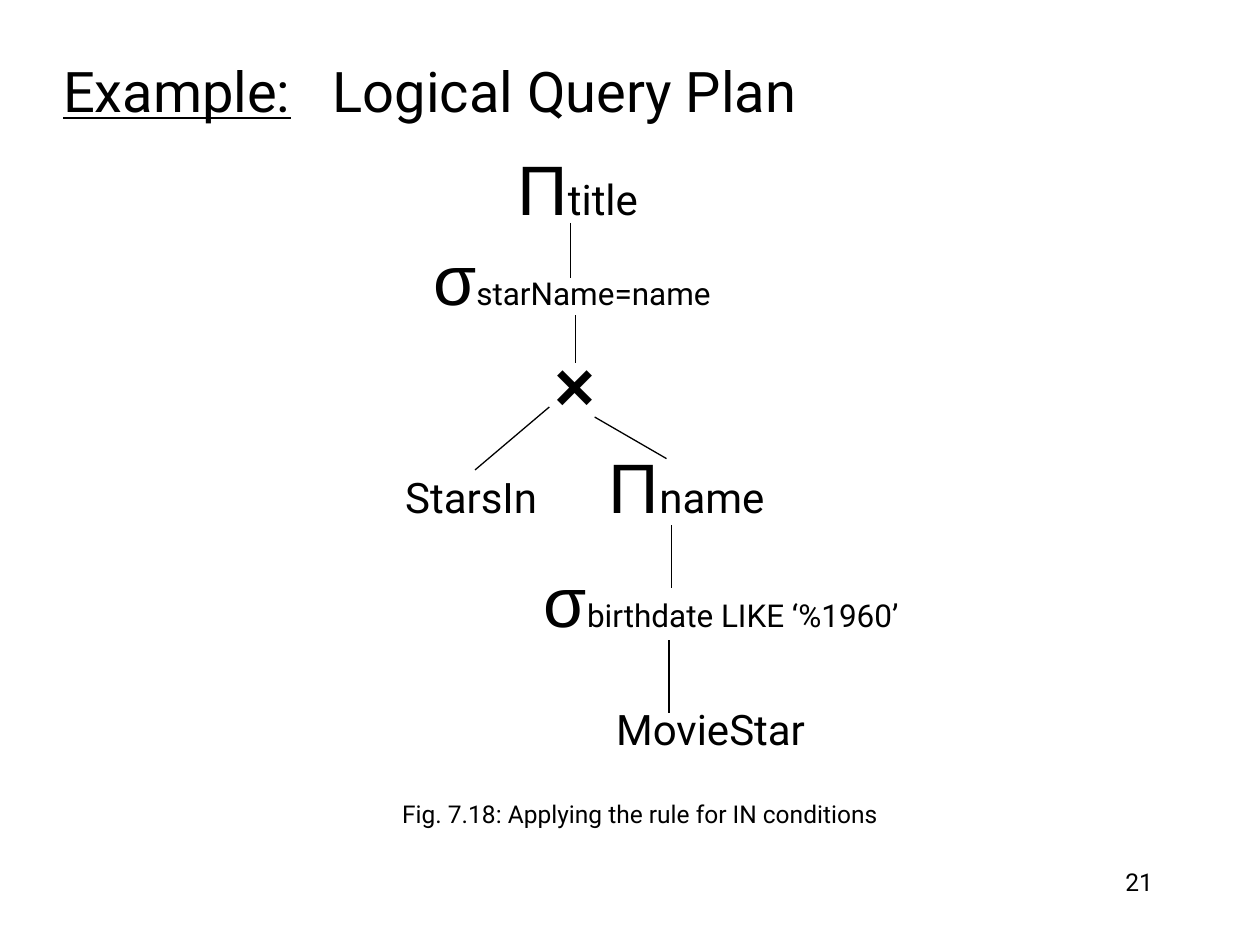
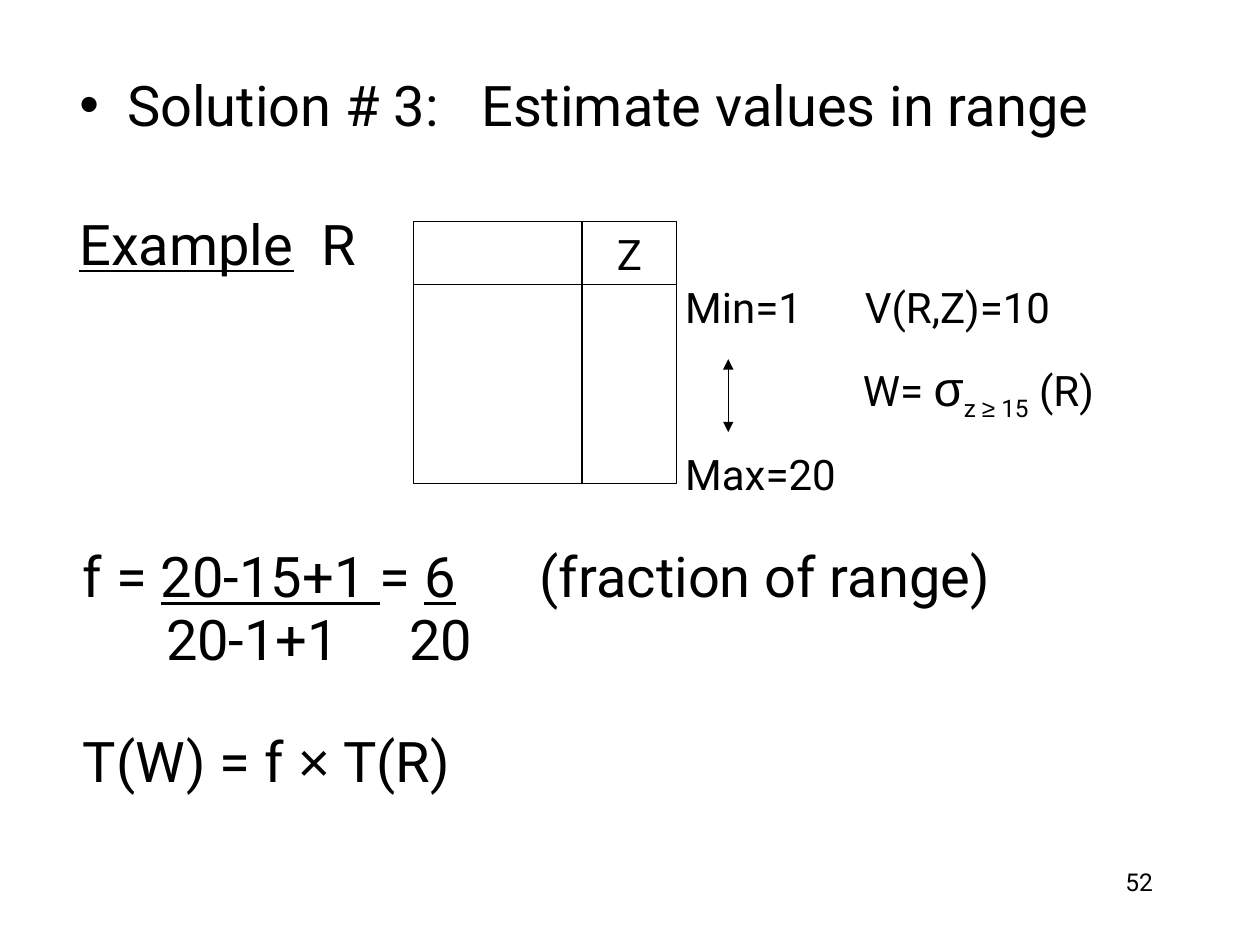
from dataclasses import dataclass

from lxml.etree import SubElement
from pptx import Presentation
from pptx.dml.color import RGBColor
from pptx.enum.shapes import MSO_CONNECTOR as Line, MSO_SHAPE as Preset
from pptx.enum.text import MSO_ANCHOR as Anchor, MSO_AUTO_SIZE as Fit, PP_ALIGN as Align
from pptx.oxml.ns import qn
from pptx.util import Inches, Length, Pt

# Shared style: lengths are columns and rows of a 100 x 75 grid
WIDTH, HEIGHT = Inches(10), Inches(7.5)
COLS, ROWS = 100, 75
BLACK, WHITE = "000000", "FFFFFF"
TEXT_FONT, SYMBOL_FONT = "Roboto", "Arial"
HEADING, LABEL, DETAIL, SMALL, SYMBOL = 32, 24, 18, 14, 40
HAIRLINE = Pt(0.75)


@dataclass(frozen=True)
class Box:
    left: float
    top: float
    width: float
    height: float


@dataclass(frozen=True)
class Run:
    text: str
    size: int = LABEL
    font: str = TEXT_FONT
    underline: bool = False
    bold: bool = False
    baseline: int = 0  # percent; below zero is a subscript
    spread: int = 0  # extra points after each letter


@dataclass(frozen=True)
class Para:
    runs: tuple[Run, ...]
    align: Align = Align.LEFT
    before: int = 0
    spacing: float = 1.0
    margin: float = 0  # left margin in columns
    bullet: str = ""  # hangs in the left margin


def colour(code: str) -> RGBColor:
    return RGBColor.from_string(code)


def col(n: float) -> Length:
    return Length(round(WIDTH * n / COLS))


def row(n: float) -> Length:
    return Length(round(HEIGHT * n / ROWS))


def area(box: Box) -> tuple[Length, Length, Length, Length]:
    return col(box.left), row(box.top), col(box.width), row(box.height)


def place(shape, box: Box) -> None:
    shape.left, shape.top, shape.width, shape.height = area(box)


def add_run(p, run: Run) -> None:
    r = p.add_run()
    r.text = run.text
    r.font.name, r.font.size = run.font, Pt(run.size)
    r.font.bold, r.font.underline = run.bold, run.underline
    r.font.color.rgb = colour(BLACK)
    props = r._r.get_or_add_rPr()
    if run.baseline:
        props.set("baseline", str(run.baseline * 1000))
    if run.spread:
        props.set("spc", str(run.spread * 100))


def write(tf, paras: list[Para], anchor: Anchor = Anchor.MIDDLE,
          wrap: bool = True) -> None:
    tf.word_wrap, tf.auto_size, tf.vertical_anchor = wrap, Fit.NONE, anchor
    for i, para in enumerate(paras):
        p = tf.paragraphs[0] if i == 0 else tf.add_paragraph()
        props = p._p.get_or_add_pPr()
        props.set("marL", str(col(para.margin)))
        props.set("indent", str(col(-para.margin if para.bullet else 0)))
        if para.bullet:
            SubElement(props, qn("a:buChar"), char=para.bullet)
        else:
            SubElement(props, qn("a:buNone"))
        p.alignment, p.space_before = para.align, Pt(para.before)
        p.line_spacing = para.spacing
        for run in para.runs:
            add_run(p, run)


def add_text(s, box: Box, paras: list[Para], anchor: Anchor = Anchor.MIDDLE,
             wrap: bool = True) -> None:
    write(s.shapes.add_textbox(*area(box)).text_frame, paras, anchor, wrap)


def add_line(s, start: tuple[float, float], end: tuple[float, float],
             arrows: bool = False) -> None:
    line = s.shapes.add_connector(Line.STRAIGHT, col(start[0]), row(start[1]),
                                  col(end[0]), row(end[1]))
    line.line.color.rgb, line.line.width = colour(BLACK), HAIRLINE
    SubElement(line._element.spPr, qn("a:effectLst"))
    if arrows:
        for tip in ("a:headEnd", "a:tailEnd"):
            SubElement(line.line._get_or_add_ln(), qn(tip), type="triangle")


def add_cell(s, box: Box, text: str) -> None:
    cell = s.shapes.add_shape(Preset.RECTANGLE, *area(box))
    cell.shadow.inherit = False
    cell.fill.solid()
    cell.fill.fore_color.rgb = colour(WHITE)
    cell.line.color.rgb, cell.line.width = colour(BLACK), HAIRLINE
    if text:
        write(cell.text_frame, [Para((Run(text),), Align.CENTER)], wrap=False)


def add_page_number(s, number: int) -> None:
    add_text(s, Box(71.7, 68.3, 20.8, 5),
             [Para((Run(str(number), SMALL),), Align.RIGHT)], Anchor.TOP)


def heading(text: str, **style) -> Run:
    return Run(text, HEADING, **style)


def gap(spread: int, size: int = HEADING) -> Run:
    return Run(" ", size, spread=spread)


def operator(symbol: str, label: str, size: int) -> tuple[Run, Run]:
    return Run(symbol, SYMBOL, SYMBOL_FONT), Run(label, size)


def query_plan(prs) -> None:
    s = prs.slides.add_slide(prs.slide_layouts[5])
    add_page_number(s, 21)
    place(s.shapes.title, Box(4, 2.3, 91.6, 9.7))
    write(s.shapes.title.text_frame, [Para((
        heading("Example:", underline=True), gap(16),
        heading("Logical Query Plan")))])

    # Operators and relations of the tree
    nodes = [
        (Box(39.7, 11, 12.3, 7.7), operator("Π", "title", LABEL)),
        (Box(32.9, 18.2, 25, 7.7), operator("σ", "starName=name", DETAIL)),
        (Box(42.4, 26.6, 6.4, 7.7), (Run("×", SYMBOL, SYMBOL_FONT, bold=True),)),
        (Box(31.1, 36.9, 12.6, 5), (Run("StarsIn"),)),
        (Box(47.3, 34.7, 14.4, 7.7), operator("Π", "name", LABEL)),
        (Box(41.6, 43.7, 31.3, 7.7),
         operator("σ", "birthdate LIKE ‘%1960’", DETAIL)),
        (Box(47.4, 55.3, 18, 5), (Run("MovieStar"),)),
    ]
    for box, runs in nodes:
        add_text(s, box, [Para(runs, Align.CENTER)], wrap=False)

    # Branches, from parent to child
    branches = [
        ((45.3, 17.7), (45.3, 22.1)), ((45.7, 25), (45.7, 28.8)),
        ((43.6, 32.3), (37.7, 37.3)), ((47.2, 33.1), (52.9, 36.4)),
        ((53.3, 41.7), (53.3, 46.7)), ((53.1, 50.8), (53.1, 56.6)),
    ]
    for start, end in branches:
        add_line(s, start, end)

    add_text(s, Box(14.7, 62.9, 72.2, 3.4), [Para(
        (Run("Fig. 7.18: Applying the rule for IN conditions", SMALL),),
        Align.CENTER)])


def range_estimate(prs) -> None:
    s = prs.slides.add_slide(prs.slide_layouts[1])
    title, body = s.placeholders
    title._element.getparent().remove(title._element)
    add_page_number(s, 52)
    place(body, Box(5.3, 5.1, 85, 45))
    write(body.text_frame, [
        Para((heading("Solution # 3:"), gap(16),
              heading("Estimate values in range")), margin=3.8, bullet="•"),
        Para((heading("Example", underline=True), gap(8), heading("R")),
             before=41),
    ], Anchor.TOP)

    # Relation R with its column Z
    columns = [(32.8, 13.4, ""), (46.2, 7.5, "Z")]
    for left, width, name in columns:
        add_cell(s, Box(left, 17.6, width, 5), name)
        add_cell(s, Box(left, 22.6, width, 15.8), "")

    # Range of Z and the selection
    subscript = {"baseline": -25}
    add_text(s, Box(53.4, 21.8, 41.4, 18.3), [
        Para((Run("Min=1"), gap(30, LABEL), Run("V(R,Z)=10"))),
        Para((Run("W= "), Run("σ", 28, SYMBOL_FONT), Run("z ", **subscript),
              Run("≥", font=SYMBOL_FONT, **subscript), Run(" 15", **subscript),
              Run(" (R)")), before=15, margin=14.1),
        Para((Run("Max=20"),), before=15),
    ])
    add_line(s, (57.8, 28.5), (57.8, 34.3), arrows=True)

    # Fraction of the range and the resulting size
    add_text(s, Box(5.6, 42.5, 85, 24.4), [
        Para((heading("f = "), heading("20-15+1 ", underline=True),
              heading("= "), heading("6", underline=True), gap(40),
              heading("(fraction of range)"))),
        Para((heading("20-1+1"), gap(32), heading("20")), before=8,
             spacing=0.7, margin=6.6),
        Para((heading("T(W) = f "), heading("×", font=SYMBOL_FONT),
              heading(" T(R)")), before=43, spacing=0.7),
    ], Anchor.TOP)


def main() -> None:
    prs = Presentation()
    prs.slide_width, prs.slide_height = WIDTH, HEIGHT
    query_plan(prs)
    range_estimate(prs)
    prs.save("out.pptx")


if __name__ == "__main__":
    main()
